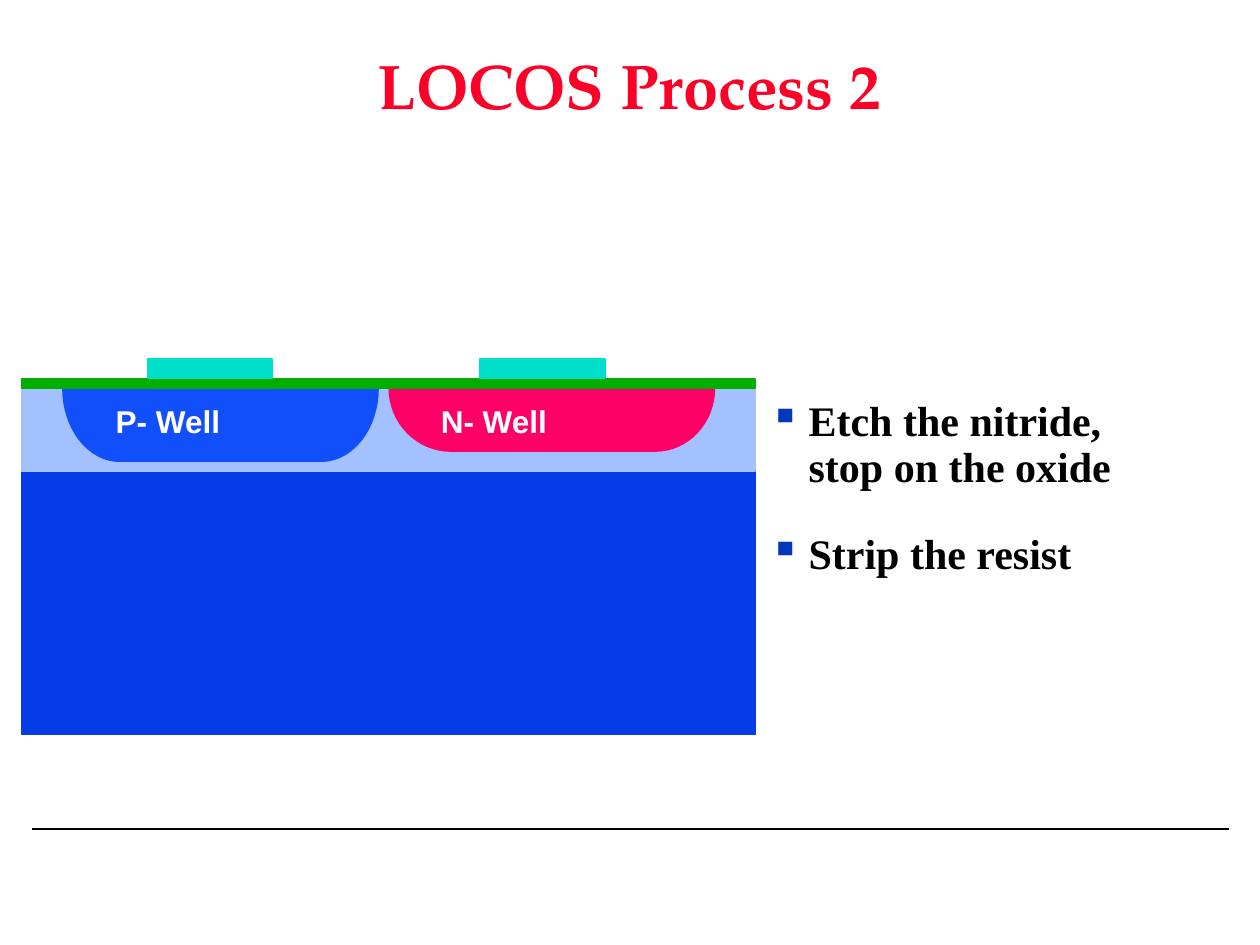
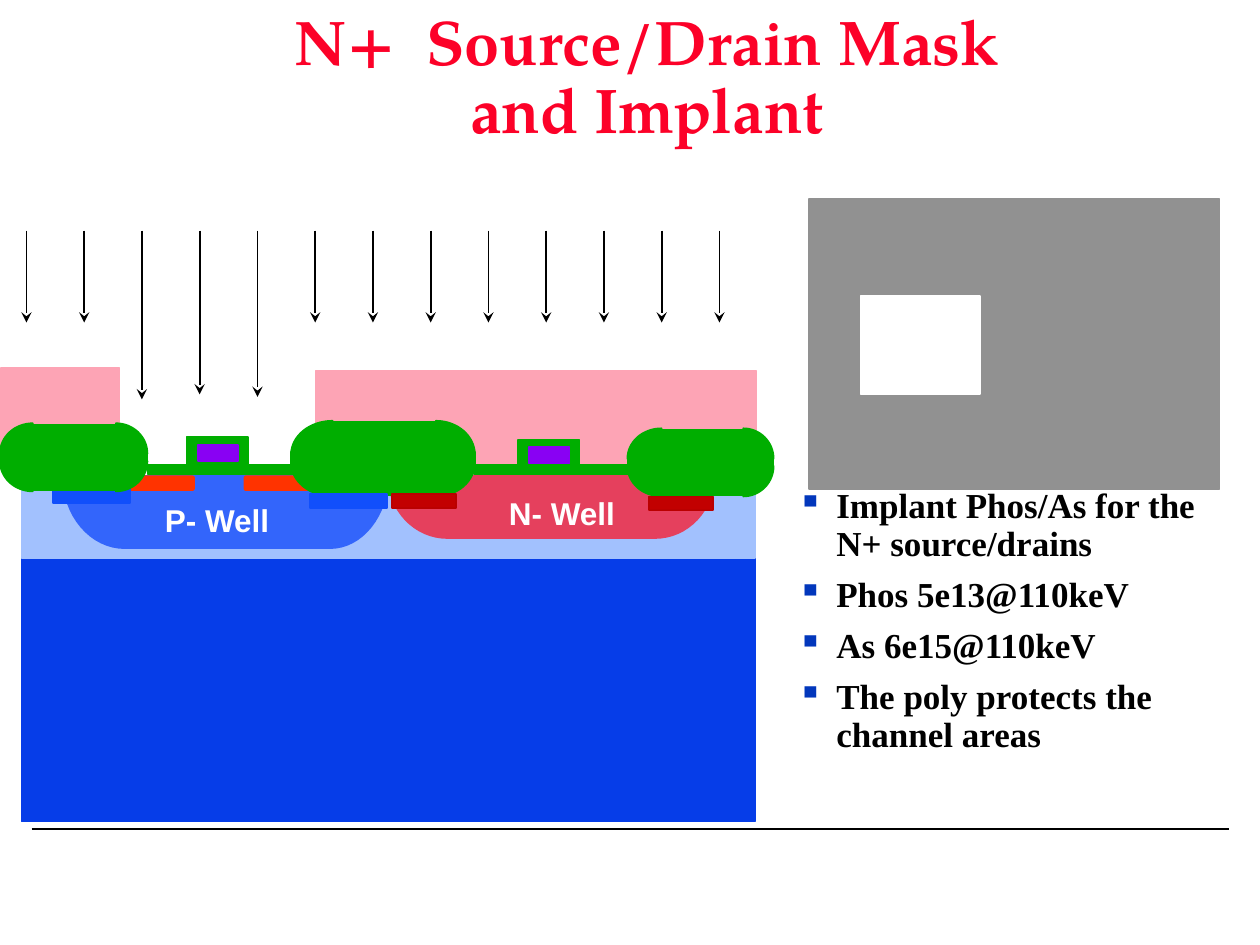
import math

import pptx
import pptx.dml.color
import pptx.enum.shapes
import pptx.enum.text
import pptx.oxml.ns
import pptx.util
from lxml import etree

Inches = pptx.util.Inches
Pt = pptx.util.Pt
SHAPE = pptx.enum.shapes.MSO_SHAPE
ALIGN = pptx.enum.text.PP_ALIGN
ANCHOR = pptx.enum.text.MSO_ANCHOR
qn = pptx.oxml.ns.qn

BLACK, WHITE, GREY = "000000", "FFFFFF", "919191"
TITLE_RED, BULLET_BLUE = "FC0128", "0237BC"
SUBSTRATE, EPI_LAYER = "063DE8", "A2C1FE"
OXIDE, NITRIDE, POLY, RESIST = "00AE00", "00DFCA", "8901F3", "FDA4B5"
BLUE, RED = "114FFB", "FF0066"
P_WELL, N_WELL = "3365FB", "E5405D"
SOURCE_DRAIN, N_FIELD, N_FIELD_EDGE = "FF3300", "C20000", "BA0000"


def rgb(value):
    return pptx.dml.color.RGBColor.from_string(value)


class Deck:
    TITLE_FONT, BODY_FONT, LABEL_FONT = "TeX Gyre Pagella", "Times New Roman", "Arial"

    def __init__(self):
        self.prs = pptx.Presentation()
        self.prs.slide_width, self.prs.slide_height = Inches(10), Inches(7.5)
        self.s = None

    def new_slide(self, title, left, top, width):
        """Start a slide with its footer rule and title."""
        self.s = self.prs.slides.add_slide(self.prs.slide_layouts[6])
        self.line(0.25, 6.58, 9.75, 6.58)
        tf = self.text_frame(left, top, width, 1.25)
        tf.vertical_anchor = ANCHOR.MIDDLE
        p = tf.paragraphs[0]
        p.alignment, p.line_spacing = ALIGN.CENTER, 0.9
        self.run(p, title, self.TITLE_FONT, 36, TITLE_RED)

    # Text
    def text_frame(self, left, top, width, height, wrap=True):
        sp = self.s.shapes.add_textbox(Inches(left), Inches(top), Inches(width), Inches(height))
        sp.text_frame.word_wrap = wrap
        return sp.text_frame

    def run(self, p, text, font, size, color):
        r = p.add_run()
        r.text = text
        r.font.name, r.font.size, r.font.bold = font, Pt(size), True
        r.font.color.rgb = rgb(color)

    def label(self, text, left, top):
        tf = self.text_frame(left, top, 1.05, 0.4, wrap=False)
        self.run(tf.paragraphs[0], text, self.LABEL_FONT, 18, WHITE)

    def bullets(self, items, left, top, width, height, size, gap):
        tf = self.text_frame(left, top, width, height)
        for i, item in enumerate(items):
            p = tf.paragraphs[0] if i == 0 else tf.add_paragraph()
            p.line_spacing = 0.9
            p.space_before = Pt(gap if i else 0)
            ppr = p._p.get_or_add_pPr()
            ppr.set("marL", str(Inches(0.31)))
            ppr.set("indent", str(-Inches(0.31)))
            color = etree.SubElement(ppr, qn("a:buClr"))
            etree.SubElement(color, qn("a:srgbClr"), val=BULLET_BLUE)
            etree.SubElement(ppr, qn("a:buChar"), char="▪")
            self.run(p, item, self.BODY_FONT, size, BLACK)

    # Shapes and lines
    def paint(self, sp, color, edge=None):
        sp.shadow.inherit = False
        sp.fill.solid()
        sp.fill.fore_color.rgb = rgb(color)
        sp.line.color.rgb = rgb(edge or color)
        sp.line.width = Pt(1)

    def rect(self, left, top, width, height, color, edge=None, rounding=None):
        kind = SHAPE.RECTANGLE if rounding is None else SHAPE.ROUNDED_RECTANGLE
        sp = self.s.shapes.add_shape(kind, Inches(left), Inches(top), Inches(width), Inches(height))
        if rounding is not None:
            sp.adjustments[0] = rounding
        self.paint(sp, color, edge)

    def line(self, x1, y1, x2, y2, arrow=False):
        cn = self.s.shapes.add_connector(pptx.enum.shapes.MSO_CONNECTOR.STRAIGHT,
                                         Inches(x1), Inches(y1), Inches(x2), Inches(y2))
        cn.line.color.rgb, cn.line.width = rgb(BLACK), Pt(1)
        if arrow:
            etree.SubElement(cn.line._get_or_add_ln(), qn("a:tailEnd"), type="stealth")
        etree.SubElement(cn._element.spPr, qn("a:effectLst"))

    def quarter(self, cx, cy, rx, ry, color):
        """Quarter ellipse around (cx, cy); the signs of rx and ry pick the quadrant."""
        angles = [math.pi / 2 * i / 16 for i in range(17)]
        arc = [(Inches(cx + rx * math.cos(a)), Inches(cy + ry * math.sin(a))) for a in angles]
        fb = self.s.shapes.build_freeform(Inches(cx), Inches(cy), scale=1.0)
        fb.add_line_segments(arc, close=True)
        self.paint(fb.convert_to_shape(), color)

    # Parts of the wafer
    def substrate(self, top):
        for height, color in ((2.74, SUBSTRATE), (0.65, EPI_LAYER)):
            self.rect(0.17, top, 5.82, height, color)

    def well(self, left, inner_left, inner_right, right, top, depth, color):
        for cx, edge in ((inner_left, left), (inner_right, right)):
            self.quarter(cx, top - 0.01, edge - cx, depth + 0.01, color)
        self.rect(inner_left, top, inner_right - inner_left, depth, color)

    def field_oxide(self, left, inner_left, inner_right, right, top, radius):
        bottom = top + 2 * radius + 0.06
        for cx, edge in ((inner_left, left), (inner_right, right)):
            self.quarter(cx, bottom - radius, edge - cx, radius, OXIDE)
            self.quarter(cx, top + radius, edge - cx, -radius, OXIDE)
        self.rect(left, top + radius - 0.02, right - left, 0.09, OXIDE)
        self.rect(inner_left, top + 0.01, inner_right - inner_left, bottom - top - 0.02, OXIDE)

    def gate(self, left, top):
        self.rect(left, top, 0.49, 0.26, OXIDE)
        self.rect(left + 0.09, top + 0.06, 0.32, 0.13, POLY)


def locos_slide(d):
    d.new_slide("LOCOS Process 2", 1.08, 0.08, 7.83)
    d.bullets(["Etch the nitride, stop on the oxide", "Strip the resist"],
              6.01, 3.13, 3.07, 1.78, size=24, gap=24)

    # Wafer with both wells
    surface = 3.09
    d.substrate(surface)
    d.well(3.09, 3.58, 5.2, 5.67, surface, 0.49, RED)
    d.well(0.5, 0.95, 2.55, 3, surface, 0.57, BLUE)
    d.label("P- Well", 0.82, 3.14)
    d.label("N- Well", 3.4, 3.14)

    # Pad oxide and nitride
    d.rect(0.17, 3.01, 5.82, 0.07, OXIDE)
    for left in (1.17, 3.81):
        d.rect(left, 2.85, 0.99, 0.15, NITRIDE)


def implant_slide(d):
    d.new_slide("N+  Source/Drain Mask and Implant", 1.85, 0, 6.57)
    d.bullets(["Implant Phos/As for the N+ source/drains", "Phos 5e13@110keV",
               "As 6e15@110keV", "The poly protects the channel areas"],
              6.23, 3.83, 3.77, 2.23, size=20, gap=7.5)

    # Mask with its opening
    d.rect(6.42, 1.58, 3.26, 2.3, GREY)
    d.rect(6.83, 2.35, 0.95, 0.78, WHITE)

    # Resist, then the wafer with both wells
    d.rect(0.01, 2.92, 0.94, 0.78, RESIST)
    d.rect(2.51, 2.94, 3.49, 0.82, RESIST)
    surface = 3.78
    d.substrate(surface)
    d.well(3.08, 3.55, 5.2, 5.67, surface, 0.49, N_WELL)
    d.well(0.5, 0.99, 2.62, 3.08, surface, 0.57, P_WELL)
    d.label("P- Well", 1.21, 3.93)
    d.label("N- Well", 3.94, 3.87)

    # Gate oxide, source and drain
    for left in (1.17, 3.76):
        d.rect(left, 3.69, 1.24, 0.07, OXIDE)
    for left in (1.03, 1.94):
        d.rect(left, surface, 0.51, 0.11, SOURCE_DRAIN, rounding=0.125)

    # Field oxide with the implants below it
    d.field_oxide(2.31, 2.64, 3.46, 3.77, 3.34, 0.27)
    for left, top in ((2.46, 3.92), (0.42, 3.88)):
        d.rect(left, top, 0.61, 0.11, BLUE)
    d.field_oxide(0, 0.26, 0.92, 1.17, 3.36, 0.24)
    d.field_oxide(4.98, 5.25, 5.9, 6.14, 3.4, 0.24)
    for left, top in ((3.11, 3.92), (5.15, 3.94)):
        d.rect(left, top, 0.51, 0.11, N_FIELD, N_FIELD_EDGE)

    # Gates
    d.gate(1.48, 3.47)
    d.gate(4.11, 3.49)

    # Ion beam: three arrows reach through the resist opening
    deep_ends = {2: 3.17, 3: 3.13, 4: 3.15}
    for i in range(13):
        x = 0.21 + 5.5 * i / 12
        d.line(x, 1.83, x, deep_ends.get(i, 2.56), arrow=True)


def main():
    d = Deck()
    locos_slide(d)
    implant_slide(d)
    d.prs.save("out.pptx")


if __name__ == "__main__":
    main()
